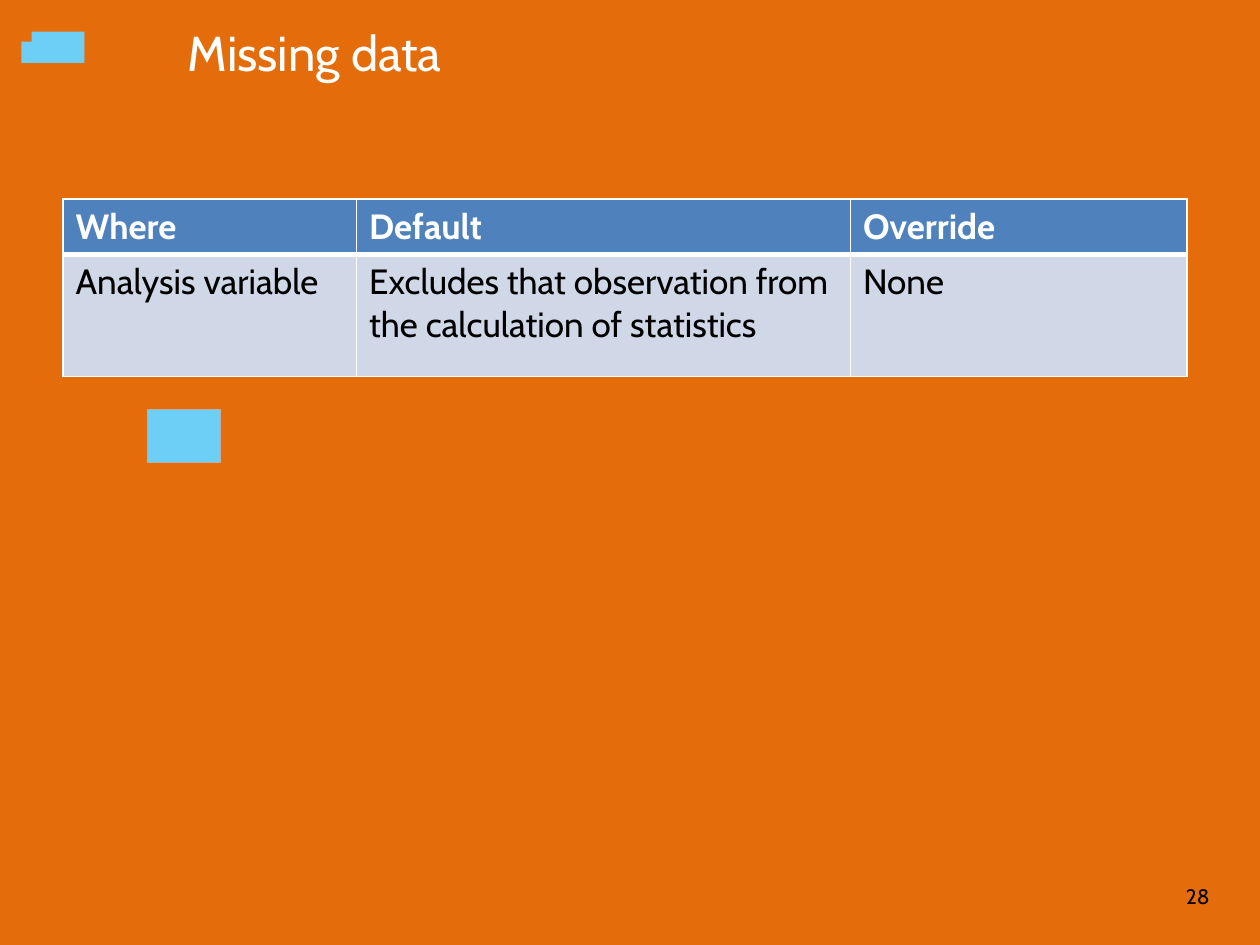
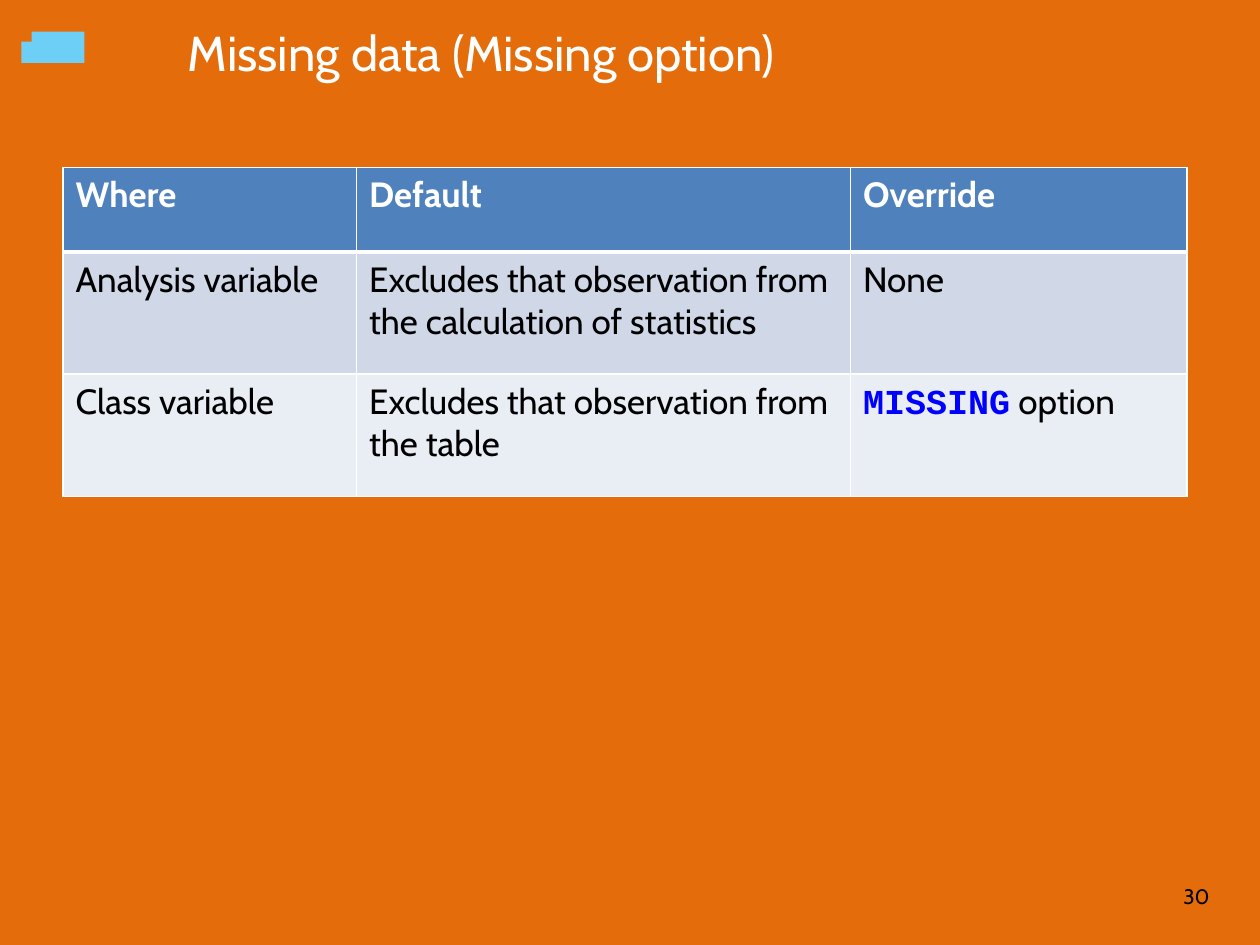
from dataclasses import dataclass

from lxml import etree
from pptx import Presentation
from pptx.dml.color import RGBColor
from pptx.enum.shapes import MSO_SHAPE
from pptx.enum.text import MSO_ANCHOR, MSO_AUTO_SIZE, PP_ALIGN
from pptx.oxml.ns import qn
from pptx.slide import Slide
from pptx.table import _Cell
from pptx.text.text import Font
from pptx.util import Inches, Pt

RECT = MSO_SHAPE.RECTANGLE
MIDDLE = MSO_ANCHOR.MIDDLE
NO_FIT = MSO_AUTO_SIZE.NONE
LEFT, RIGHT = PP_ALIGN.LEFT, PP_ALIGN.RIGHT

# Shared look
SANS, MONO = "Cabin", "Courier New"
ORANGE, SKY, TAUPE = "E46C0A", "6DCFF6", "B9AFA4"
WHITE, BLACK, BLUE = "FFFFFF", "000000", "0000FF"
HEAD, BANDS = "4F81BD", ("D0D8E8", "E9EDF4")
COLS = (2.33, 3.92, 2.67)
ROW = 0.97
CODE = "MISSING"


@dataclass
class Box:
    left: float
    top: float
    width: float
    height: float
    line: str = ""

    def place(self) -> tuple:
        return tuple(Inches(n) for n in
                     (self.left, self.top, self.width, self.height))


@dataclass
class Page:
    title: str
    number: str
    top: float
    head: float
    rows: list
    marks: list


TITLE = Box(1.39, 0.12, 8.35, 0.58)
NUMBER = Box(8.97, 6.92, 0.73, 0.39)
CORNER = [Box(0.25, 0.25, 0.42, 0.25), Box(0.17, 0.33, 0.17, 0.17)]
ACCENT = Box(1.17, 3.25, 0.58, 0.42, TAUPE)

LABELS = ("Where", "Default", "Override")
ANALYSIS = ("Analysis variable",
            "Excludes that observation from the calculation of statistics",
            "None")
CLASS = ("Class variable", "Excludes that observation from the table",
         CODE + " option")

PAGES = [
    Page("Missing data", "28", 1.58, 0.44, [LABELS, ANALYSIS],
         CORNER + [ACCENT]),
    Page("Missing data (Missing option)", "30", 1.33, 0.67,
         [LABELS, ANALYSIS, CLASS], CORNER),
]


def color(code: str) -> RGBColor:
    return RGBColor.from_string(code)


def style(font: Font, size: float, code: str, bold: bool = False,
          face: str = SANS) -> None:
    font.name, font.size, font.bold = face, Pt(size), bold
    font.color.rgb = color(code)


def add_mark(slide: Slide, box: Box) -> None:
    mark = slide.shapes.add_shape(RECT, *box.place())
    mark.shadow.inherit = False
    mark.fill.solid()
    mark.fill.fore_color.rgb = color(SKY)
    if box.line:
        mark.line.color.rgb = color(box.line)
        mark.line.width = Pt(1)
    else:
        mark.line.fill.background()


def set_text(shape, box: Box, text: str, size: float, code: str,
             align: PP_ALIGN) -> None:
    shape.left, shape.top, shape.width, shape.height = box.place()
    frame = shape.text_frame
    frame.text = text
    frame.word_wrap = True
    frame.auto_size = NO_FIT
    frame.vertical_anchor = MIDDLE
    para = frame.paragraphs[0]
    para.alignment = align
    style(para.runs[0].font, size, code)


def add_edges(cell: _Cell, row: int) -> None:
    # A thick rule parts the header from the body
    thick = {(0, "lnB"), (1, "lnT")}
    props = cell._tc.get_or_add_tcPr()
    for side in ("lnL", "lnR", "lnT", "lnB"):
        width = Pt(3 if (row, side) in thick else 1)
        edge = etree.SubElement(props, qn("a:" + side), w=str(width))
        fill = etree.SubElement(edge, qn("a:solidFill"))
        etree.SubElement(fill, qn("a:srgbClr"), val=WHITE)


def fill_cell(cell: _Cell, text: str, row: int) -> None:
    add_edges(cell, row)
    cell.fill.solid()
    shade = BANDS[(row - 1) % len(BANDS)] if row else HEAD
    cell.fill.fore_color.rgb = color(shade)
    para = cell.text_frame.paragraphs[0]
    if text.startswith(CODE):
        run = para.add_run()
        run.text = CODE
        style(run.font, 20, BLUE, True, MONO)
        text = text.removeprefix(CODE)
    run = para.add_run()
    run.text = text
    style(run.font, 20, BLACK if row else WHITE, row == 0)


def add_grid(slide: Slide, page: Page) -> None:
    highs = [page.head] + [ROW] * (len(page.rows) - 1)
    box = Box(0.5, page.top, sum(COLS), sum(highs))
    grid = slide.shapes.add_table(len(highs), len(COLS), *box.place()).table
    for col, width in zip(grid.columns, COLS):
        col.width = Inches(width)
    for row, high in enumerate(highs):
        grid.rows[row].height = Inches(high)
        for col, text in enumerate(page.rows[row]):
            fill_cell(grid.cell(row, col), text, row)


def main() -> None:
    deck = Presentation()
    deck.slide_width, deck.slide_height = Inches(10), Inches(7.5)
    back = deck.slide_master.background.fill
    back.solid()
    back.fore_color.rgb = color(ORANGE)

    for page in PAGES:
        slide = deck.slides.add_slide(deck.slide_layouts[5])
        for mark in page.marks:
            add_mark(slide, mark)
        set_text(slide.shapes.title, TITLE, page.title, 28, WHITE, LEFT)
        label = slide.shapes.add_textbox(*NUMBER.place())
        set_text(label, NUMBER, page.number, 12, BLACK, RIGHT)
        add_grid(slide, page)

    deck.save("out.pptx")


if __name__ == "__main__":
    main()
